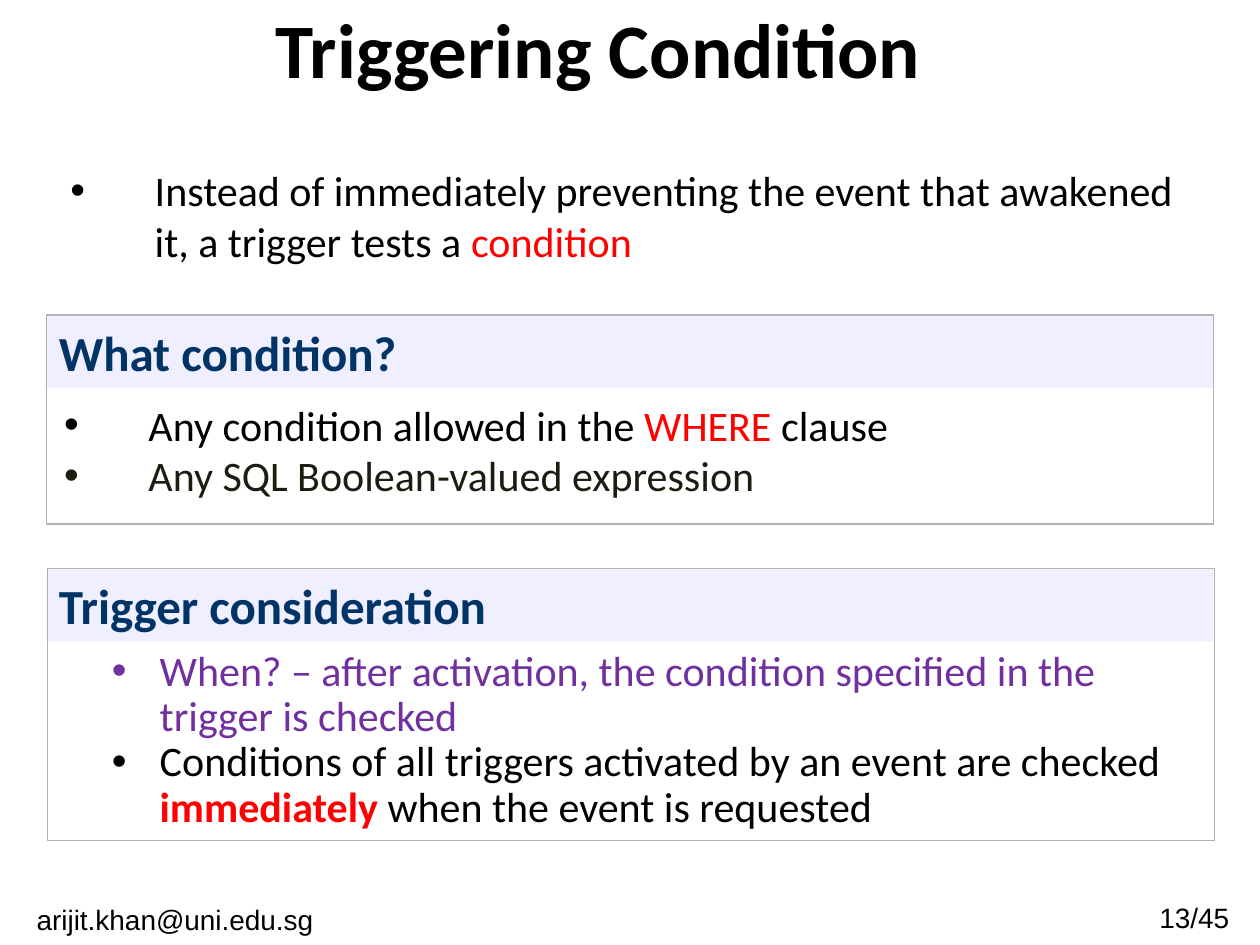
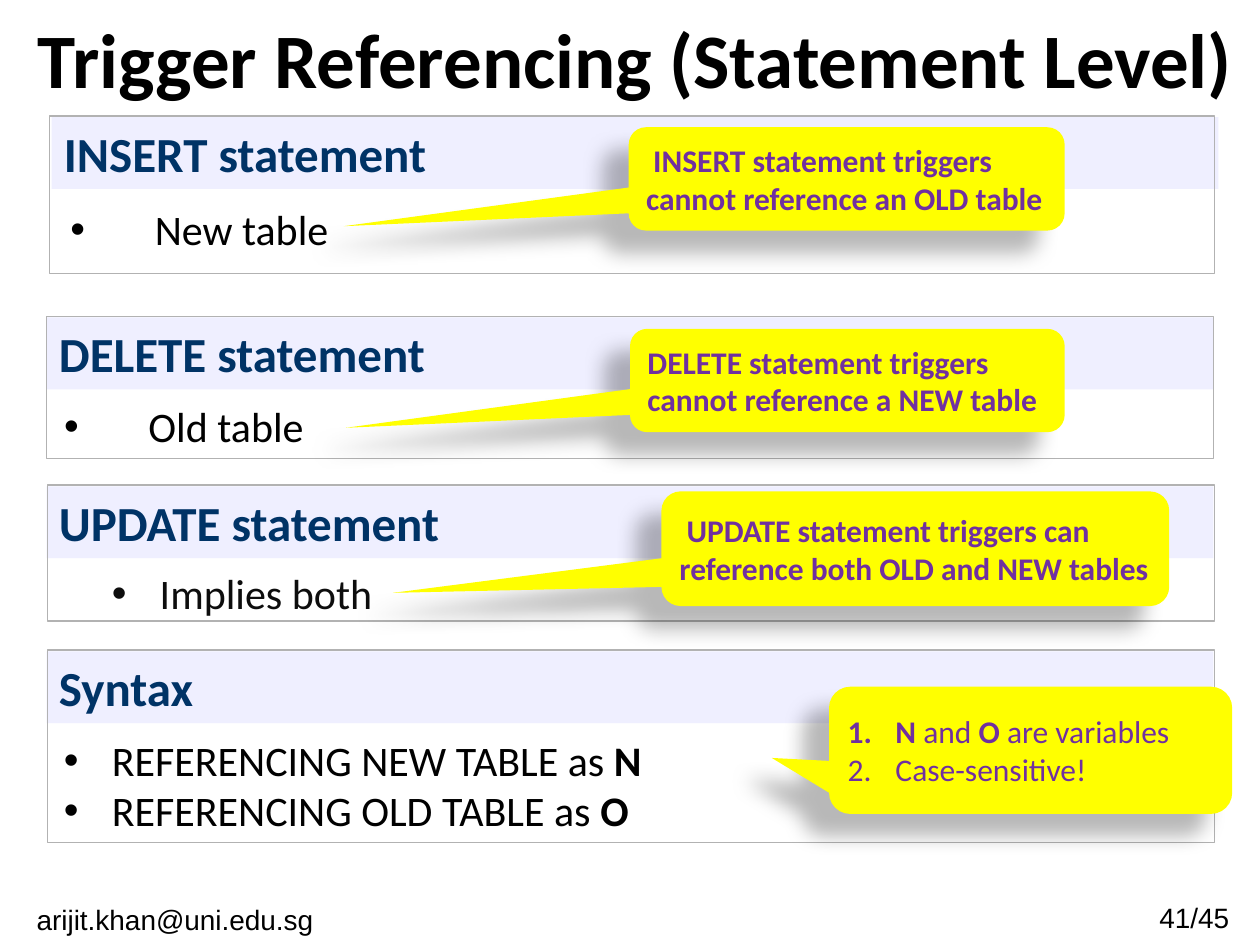
from collections import namedtuple
from dataclasses import dataclass

from lxml import etree
from pptx import Presentation
from pptx import util as u
from pptx.dml.color import RGBColor
from pptx.enum import shapes, text
from pptx.oxml.ns import qn

Box = namedtuple("Box", "left top width height")
Run = namedtuple("Run", "text color bold", defaults=("black", False))
ListStyle = namedtuple("ListStyle", "margin hang spacing level number", defaults=(None, 0, False))


@dataclass(frozen=True)
class Theme:
    """Colours, fonts and type sizes shared by the slides."""
    black: str = "000000"
    red: str = "FF0000"
    purple: str = "7030A0"
    olive: str = "1E1C11"
    soft: str = "0D0D0D"
    navy: str = "003366"
    band: str = "EFEFFF"
    rule: str = "B2B2B2"
    yellow: str = "FFFF00"
    font: str = "Calibri"
    footer_font: str = "Arial"
    title: int = 44
    heading: int = 28
    body: int = 24
    note: int = 18
    footer: int = 16

    def rgb(self, name):
        """Return the named colour."""
        return RGBColor.from_string(getattr(self, name))


THEME = Theme()
WIDE = ListStyle(0.67, 0.67)
CLOSE = ListStyle(0.38, 0.38)
NESTED = ListStyle(0.76, 0.38, 0.9, 1)
NUMBERED = ListStyle(0.38, 0.38, number=True)
EMAIL = "arijit.khan@uni.edu.sg "
PAGE_COUNT = 45
PANEL_WIDTH = 9.26
BAND_HEIGHT = 0.57


def inches(box):
    """Convert a box to lengths."""
    return [u.Inches(v) for v in box]


def set_list(p, style):
    """Give a paragraph its indents, spacing and bullet or number."""
    p.level = style.level
    if style.spacing:
        p.line_spacing = style.spacing
    pPr = p._p.get_or_add_pPr()
    pPr.set("marL", str(u.Inches(style.margin)))
    pPr.set("indent", str(-u.Inches(style.hang)))
    if style.number:
        etree.SubElement(pPr, qn("a:buFont"), typeface="+mj-lt")
        etree.SubElement(pPr, qn("a:buAutoNum"), type="arabicPeriod")
    else:
        etree.SubElement(pPr, qn("a:buFont"), typeface="Arial")
        etree.SubElement(pPr, qn("a:buChar"), char="\u2022")


def write(sp, paragraphs, size, style=None, align=text.PP_ALIGN.LEFT,
          anchor=text.MSO_ANCHOR.TOP, font=THEME.font):
    """Fill a shape with paragraphs, each a list of runs."""
    tf = sp.text_frame
    tf.word_wrap = True
    tf.vertical_anchor = anchor
    for i, runs in enumerate(paragraphs):
        p = tf.add_paragraph() if i else tf.paragraphs[0]
        p.alignment = align
        if style:
            set_list(p, style)
        for part in runs:
            r = p.add_run()
            r.text = part.text
            r.font.name = font
            r.font.size = u.Pt(size)
            r.font.bold = part.bold
            r.font.color.rgb = THEME.rgb(part.color)


def add_text(s, box, paragraphs, size, **options):
    """Add a text box."""
    write(s.shapes.add_textbox(*inches(box)), paragraphs, size, **options)


def add_block(s, kind, box, fill=None, line=None):
    """Add a preset shape with a plain fill, a plain line or neither."""
    sp = s.shapes.add_shape(kind, *inches(box))
    sp.shadow.inherit = False
    if fill:
        sp.fill.solid()
        sp.fill.fore_color.rgb = THEME.rgb(fill)
    else:
        sp.fill.background()
    if line:
        sp.line.color.rgb = THEME.rgb(line)
        sp.line.width = u.Pt(0.75)
    else:
        sp.line.fill.background()
    return sp


def cast_shadow(sp):
    """Cast a soft shadow to the lower left."""
    effects = sp._element.spPr.find(qn("a:effectLst"))
    shadow = etree.SubElement(effects, qn("a:outerShdw"), blurRad=str(u.Pt(11.8)),
                              dist=str(u.Pt(19.7)), dir=str(141 * 60000),
                              algn="ctr", rotWithShape="0")
    color = etree.SubElement(shadow, qn("a:srgbClr"), val=THEME.black)
    etree.SubElement(color, qn("a:alpha"), val="28000")


def add_panel(s, box, heading, items, style, body_top=0.62, body_left=0.04, band_left=0):
    """Add an outlined panel with a heading band and a list."""
    rect = shapes.MSO_SHAPE.RECTANGLE
    band = add_block(s, rect, Box(box.left + band_left, box.top + 0.01, PANEL_WIDTH, BAND_HEIGHT),
                     fill="band")
    write(band, [[Run(heading, "navy", True)]], THEME.heading)
    add_block(s, rect, box, line="rule")
    body = Box(box.left + body_left, box.top + body_top,
               box.width - body_left, box.height - body_top)
    add_text(s, body, items, THEME.body, style=style)


def add_callout(s, box, tip, paragraphs, style=None):
    """Add a yellow callout whose tip is a fraction of its size from its centre."""
    sp = add_block(s, shapes.MSO_SHAPE.ROUNDED_RECTANGULAR_CALLOUT, box, fill="yellow")
    for i, value in enumerate((*tip, 0.167)):
        sp.adjustments[i] = value
    cast_shadow(sp)
    write(sp, paragraphs, THEME.note, style=style, anchor=text.MSO_ANCHOR.MIDDLE)


def add_page(prs, title, title_box, number):
    """Add a blank slide with its title and footers."""
    s = prs.slides.add_slide(prs.slide_layouts[6])
    center = text.PP_ALIGN.CENTER
    add_text(s, title_box, [[Run(title, bold=True)]], THEME.title,
             align=center, anchor=text.MSO_ANCHOR.MIDDLE)
    footers = ((Box(8.93, 7.1, 1.16, 0.39), f"{number}/{PAGE_COUNT} "),
               (Box(0.08, 7.11, 2.68, 0.39), EMAIL))
    for box, words in footers:
        add_text(s, box, [[Run(words)]], THEME.footer, align=center, font=THEME.footer_font)
    return s


def build_condition(prs):
    """Build the slide on the triggering condition."""
    s = add_page(prs, "Triggering Condition", Box(0.25, 0, 9, 0.75), 13)
    add_text(s, Box(0.46, 1.26, 9.17, 0.91), [[
        Run("Instead of immediately preventing the event that awakened it, a trigger tests a "),
        Run("condition", "red")]], THEME.body, style=WIDE)
    add_panel(s, Box(0.37, 2.5, PANEL_WIDTH, 1.66), "What condition?", [
        [Run("Any condition allowed in the "), Run("WHERE", "red"), Run(" clause")],
        [Run("Any SQL Boolean-valued expression", "olive")]], WIDE)
    add_panel(s, Box(0.38, 4.51, PANEL_WIDTH, 2.16), "Trigger consideration", [
        [Run("When? \u2013 after activation, the condition specified in the trigger is checked",
             "purple")],
        [Run("Conditions of all triggers activated by an event are checked "),
         Run("immediately", "red", True), Run(" when the event is requested")]],
        NESTED, body_top=0.6, body_left=0.03, band_left=-0.01)


def build_referencing(prs):
    """Build the slide on statement-level referencing."""
    s = add_page(prs, "Trigger Referencing (Statement Level)", Box(0.17, 0.08, 9.75, 0.75), 41)
    add_panel(s, Box(0.39, 0.92, 9.25, 1.25), "INSERT statement", [[Run("New table")]],
              WIDE, body_top=0.65, body_left=0.07, band_left=0.02)
    add_panel(s, Box(0.37, 2.51, PANEL_WIDTH, 1.13), "DELETE statement",
              [[Run("Old table")]], WIDE)
    add_panel(s, Box(0.38, 3.85, PANEL_WIDTH, 1.08), "UPDATE statement",
              [[Run("Implies both", "soft")]], NESTED,
              body_top=0.65, body_left=0.03, band_left=-0.01)
    add_panel(s, Box(0.38, 5.16, PANEL_WIDTH, 1.53), "Syntax",
              [[Run(f"REFERENCING {age} TABLE as "), Run(name, bold=True)]
               for age, name in (("NEW", "N"), ("OLD", "O"))],
              CLOSE, body_left=0.03, band_left=-0.01)
    add_callout(s, Box(6.58, 5.45, 3.2, 1.01), (-0.642, 0.06), [
        [Run("N ", "purple", True), Run("and ", "purple"), Run("O", "purple", True),
         Run(" are variables", "purple")],
        [Run("Case-sensitive!", "purple")]], NUMBERED)
    notes = (
        (Box(4.99, 1.01, 3.46, 0.82), (-1.154, 0.458),
         " INSERT statement triggers cannot reference an OLD table"),
        (Box(5, 2.61, 3.45, 0.82), (-1.154, 0.458),
         "DELETE statement triggers cannot reference a NEW table"),
        (Box(5.25, 3.9, 4.03, 0.91), (-1.029, 0.385),
         " UPDATE statement triggers can reference both OLD and NEW tables"))
    for box, tip, words in notes:
        add_callout(s, box, tip, [[Run(words, "purple", True)]])


def main():
    """Build and save the presentation."""
    prs = Presentation()
    prs.slide_width, prs.slide_height = u.Inches(10), u.Inches(7.5)
    build_condition(prs)
    build_referencing(prs)
    prs.save("out.pptx")


main()
